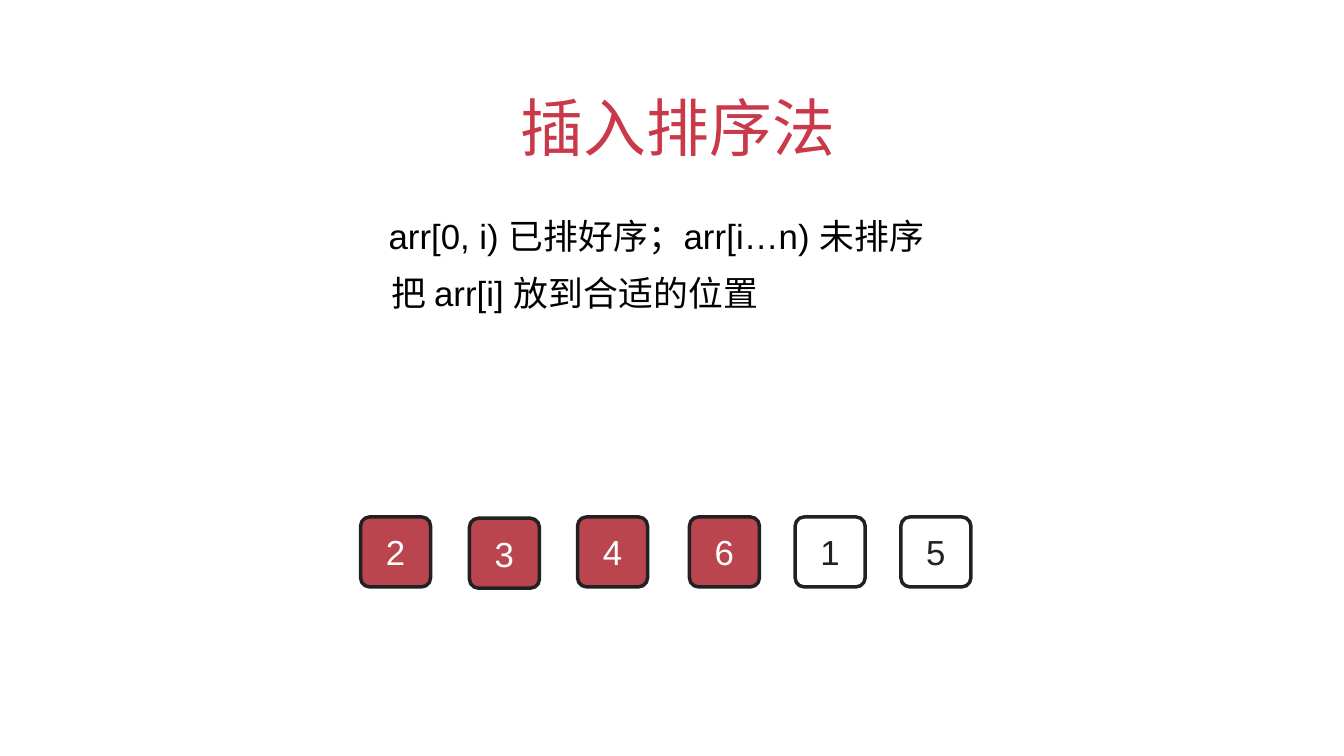
"""Build the insertion sort slide: title, invariant and a row of array tiles."""
from dataclasses import dataclass

from pptx import Presentation
from pptx.dml.color import RGBColor
from pptx.enum.shapes import MSO_SHAPE
from pptx.enum.text import MSO_ANCHOR, PP_ALIGN
from pptx.oxml.ns import qn
from pptx.util import Pt


@dataclass(frozen=True)
class Theme:
    title: str = "C9394A"
    body: str = "000000"
    ink: str = "212121"
    sorted_fill: str = "BA454E"
    white: str = "FFFFFF"
    latin: str = "Arial"
    chinese: str = "Noto Sans CJK TC"
    title_size: int = 74
    text_size: int = 41


THEME = Theme()
TILE_SIZE = 82.5
TILE_LINE = 4.12
TILES = [
    ("2", 424.8, 609, True),
    ("3", 553, 610.5, True),
    ("4", 680.4, 609, True),
    ("6", 812.2, 609, True),
    ("1", 936.7, 609, False),
    ("5", 1061.3, 609, False),
]
INVARIANT = [
    ("arr[0, i) ", THEME.latin, 0),
    ("已排好序", THEME.chinese, 0.2),
    ("；", THEME.chinese, 0.1),
    ("arr[i…n) ", THEME.latin, 0.1),
    ("未排序 把 ", THEME.chinese, 0.2),
    ("arr[i] ", THEME.latin, 0),
    ("放到合适的位置", THEME.chinese, 0.2),
]


def color(value):
    return RGBColor.from_string(value)


def add_span(para, text, face, size, ink, spacing=0):
    span = para.add_run()
    span.text = text
    span.font.name = face
    span.font.size = Pt(size)
    span.font.color.rgb = color(ink)
    properties = span.font._element
    properties.set("spc", str(round(spacing * 100)))
    east_asian = properties.makeelement(qn("a:ea"), {"typeface": THEME.chinese})
    properties.find(qn("a:latin")).addnext(east_asian)


def clear_margins(frame, top=0):
    frame.word_wrap = True
    frame.margin_left = frame.margin_right = frame.margin_bottom = 0
    frame.margin_top = Pt(top)


def add_text(page, left, top, width, height, spans, size, ink,
             margin=0, indent=0, hanging=0, line_spacing=None):
    box = page.shapes.add_textbox(Pt(left), Pt(top), Pt(width), Pt(height))
    clear_margins(box.text_frame, margin)
    para = box.text_frame.paragraphs[0]
    para.line_spacing = line_spacing
    properties = para._p.get_or_add_pPr()
    properties.set("marL", str(Pt(indent)))
    properties.set("indent", str(Pt(-hanging)))
    for text, face, spacing in spans:
        add_span(para, text, face, size, ink, spacing)


def add_tile(page, digit, left, top, is_sorted):
    tile = page.shapes.add_shape(MSO_SHAPE.ROUNDED_RECTANGLE, Pt(left), Pt(top),
                                 Pt(TILE_SIZE), Pt(TILE_SIZE))
    tile.adjustments[0] = 0.13
    tile.shadow.inherit = False
    if is_sorted:
        tile.fill.solid()
        tile.fill.fore_color.rgb = color(THEME.sorted_fill)
    else:
        tile.fill.background()
    tile.line.color.rgb = color(THEME.ink)
    tile.line.width = Pt(TILE_LINE)
    frame = tile.text_frame
    clear_margins(frame)
    frame.vertical_anchor = MSO_ANCHOR.MIDDLE
    para = frame.paragraphs[0]
    para.alignment = PP_ALIGN.CENTER
    ink = THEME.white if is_sorted else THEME.ink
    add_span(para, digit, THEME.latin, THEME.text_size, ink, 0.1)


def main():
    deck = Presentation()
    deck.slide_width, deck.slide_height = Pt(1583.28), Pt(890.64)
    page = deck.slides.add_slide(deck.slide_layouts[6])
    add_text(page, 597.6, 103, 388, 90.7, [("插⼊排序法", THEME.chinese, 0.2)],
             THEME.title_size, THEME.title, margin=1.5, indent=15.8)
    add_text(page, 457.2, 234.7, 634.3, 136, INVARIANT, THEME.text_size, THEME.body,
             margin=1, indent=3.6, hanging=3, line_spacing=1.36)
    for tile in TILES:
        add_tile(page, *tile)
    deck.save("out.pptx")


if __name__ == "__main__":
    main()
